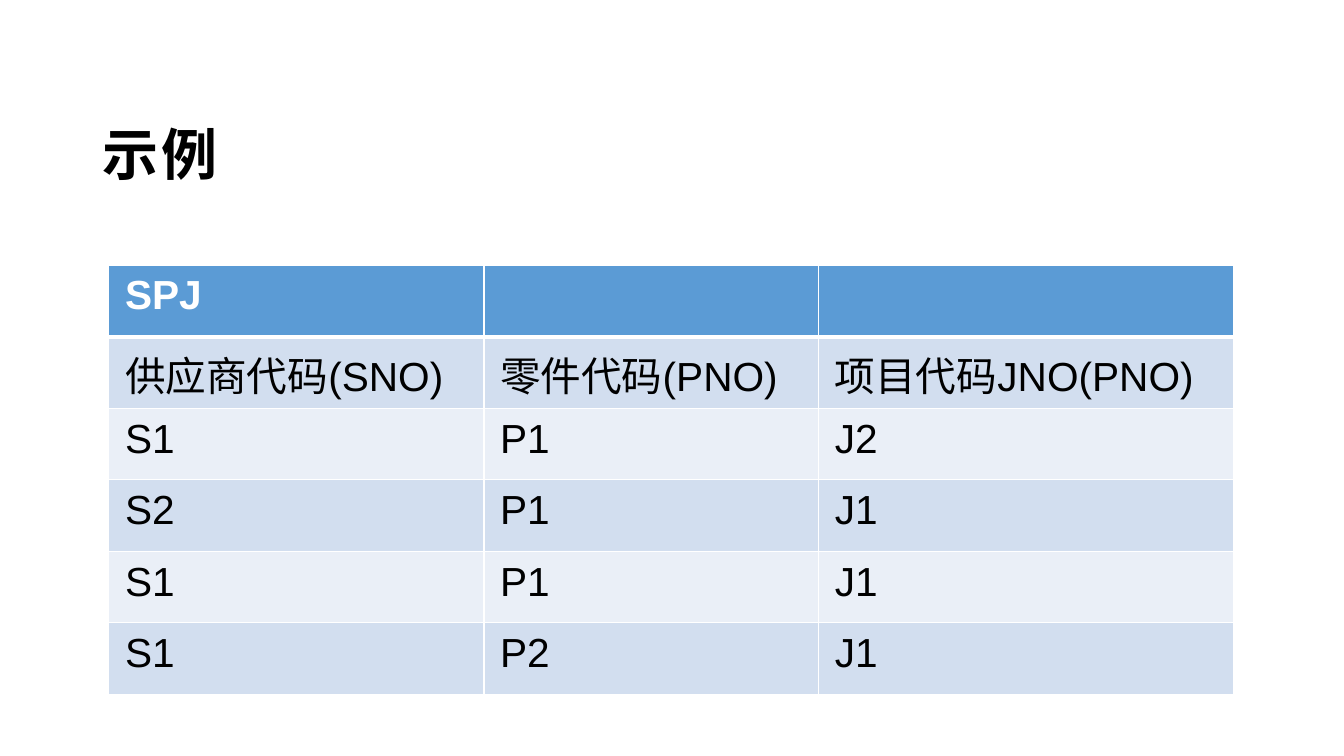
import dataclasses

import lxml.etree
import pptx
import pptx.dml.color
import pptx.enum.text
import pptx.oxml.ns
import pptx.util
from pptx.util import Inches


@dataclasses.dataclass(frozen=True)
class Theme:
    """Colours, font and type sizes of the slide."""
    font: str = "Arial"
    title_size: int = 40
    table_size: int = 29
    black: str = "000000"
    white: str = "FFFFFF"
    header: str = "5B9BD5"
    bands: tuple = ("D2DEEF", "EAEFF7")


THEME = Theme()
COLUMN_WIDTHS = (3.72, 3.32, 4.12)
SPJ_ROWS = (
    ("SPJ", "", ""),
    ("供应商代码(SNO)", "零件代码(PNO)", "项目代码JNO(PNO)"),
    ("S1", "P1", "J2"),
    ("S2", "P1", "J1"),
    ("S1", "P1", "J1"),
    ("S1", "P2", "J1"),
)


def color(value):
    """Return the colour object for a hex value."""
    return pptx.dml.color.RGBColor.from_string(value)


def write_text(paragraph, text, *, size, fill, bold=False, spacing=0):
    """Add one formatted run to a paragraph."""
    run = paragraph.add_run()
    run.text = text
    run.font.name = THEME.font
    run.font.size = pptx.util.Pt(size)
    run.font.bold = bold
    run.font.color.rgb = color(fill)
    if spacing:
        run.font._element.set("spc", str(spacing * 100))


def set_borders(cell, bottom_width):
    """Draw white lines around a table cell."""
    properties = cell._tc.get_or_add_tcPr()
    widths = {"a:lnL": 1, "a:lnR": 1, "a:lnT": 1, "a:lnB": bottom_width}
    for position, (tag, width) in enumerate(widths.items()):
        line = lxml.etree.Element(pptx.oxml.ns.qn(tag), w=str(pptx.util.Pt(width)))
        solid = lxml.etree.SubElement(line, pptx.oxml.ns.qn("a:solidFill"))
        lxml.etree.SubElement(solid, pptx.oxml.ns.qn("a:srgbClr"), val=THEME.white)
        properties.insert(position, line)


def add_title(slide, text, left, top, width, height):
    """Place the slide title, centred vertically in its box."""
    shape = slide.shapes.add_textbox(left, top, width, height)
    frame = shape.text_frame
    frame.word_wrap = True
    frame.vertical_anchor = pptx.enum.text.MSO_ANCHOR.MIDDLE
    frame.margin_left, frame.margin_right = Inches(0.11), Inches(0.08)
    frame.margin_top = frame.margin_bottom = Inches(0.04)
    write_text(frame.paragraphs[0], text, size=THEME.title_size,
               fill=THEME.black, bold=True, spacing=2)


def format_cell(cell, text, row_index):
    """Fill, outline and label one cell according to its row."""
    is_header = row_index == 0
    cell.fill.solid()
    cell.fill.fore_color.rgb = color(
        THEME.header if is_header else THEME.bands[(row_index - 1) % 2])
    set_borders(cell, 3 if is_header else 1)
    cell.margin_left = cell.margin_right = Inches(0.16)
    cell.margin_top = cell.margin_bottom = Inches(0.08)
    if text:
        write_text(cell.text_frame.paragraphs[0], text, size=THEME.table_size,
                   fill=THEME.white if is_header else THEME.black, bold=is_header)


def add_spj_table(slide, rows, left, top, width, height):
    """Place the SPJ table with equal row heights."""
    table = slide.shapes.add_table(
        len(rows), len(COLUMN_WIDTHS), left, top, width, height).table
    for column, column_width in zip(table.columns, COLUMN_WIDTHS):
        column.width = Inches(column_width)
    for row_index, texts in enumerate(rows):
        for column_index, text in enumerate(texts):
            format_cell(table.cell(row_index, column_index), text, row_index)


def main():
    """Build and save the slide."""
    presentation = pptx.Presentation()
    presentation.slide_width = Inches(13.33)
    presentation.slide_height = Inches(7.5)
    slide = presentation.slides.add_slide(presentation.slide_layouts[6])
    add_title(slide, "示例", Inches(0.91), Inches(0.6), Inches(5.65), Inches(1.83))
    add_spj_table(slide, SPJ_ROWS, Inches(1.08), Inches(2.63),
                  Inches(sum(COLUMN_WIDTHS)), Inches(4.26))
    presentation.save("out.pptx")


if __name__ == "__main__":
    main()
